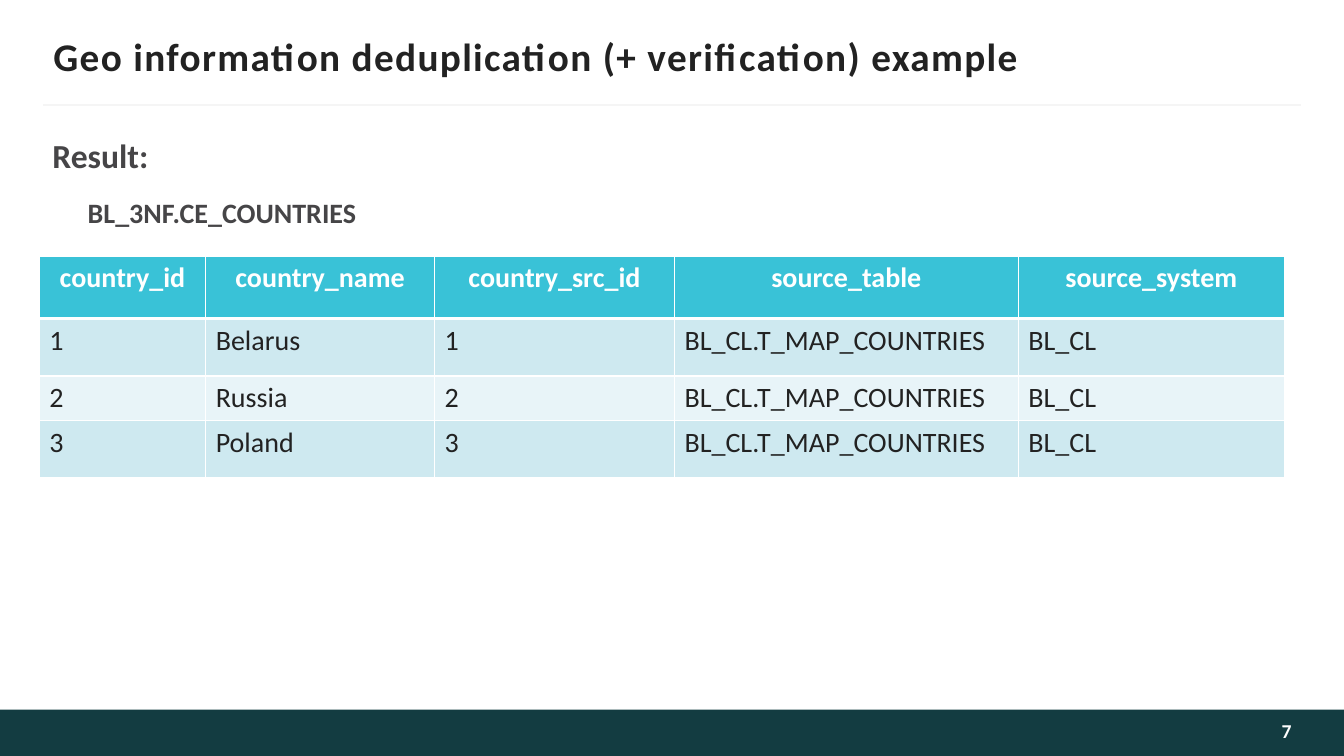
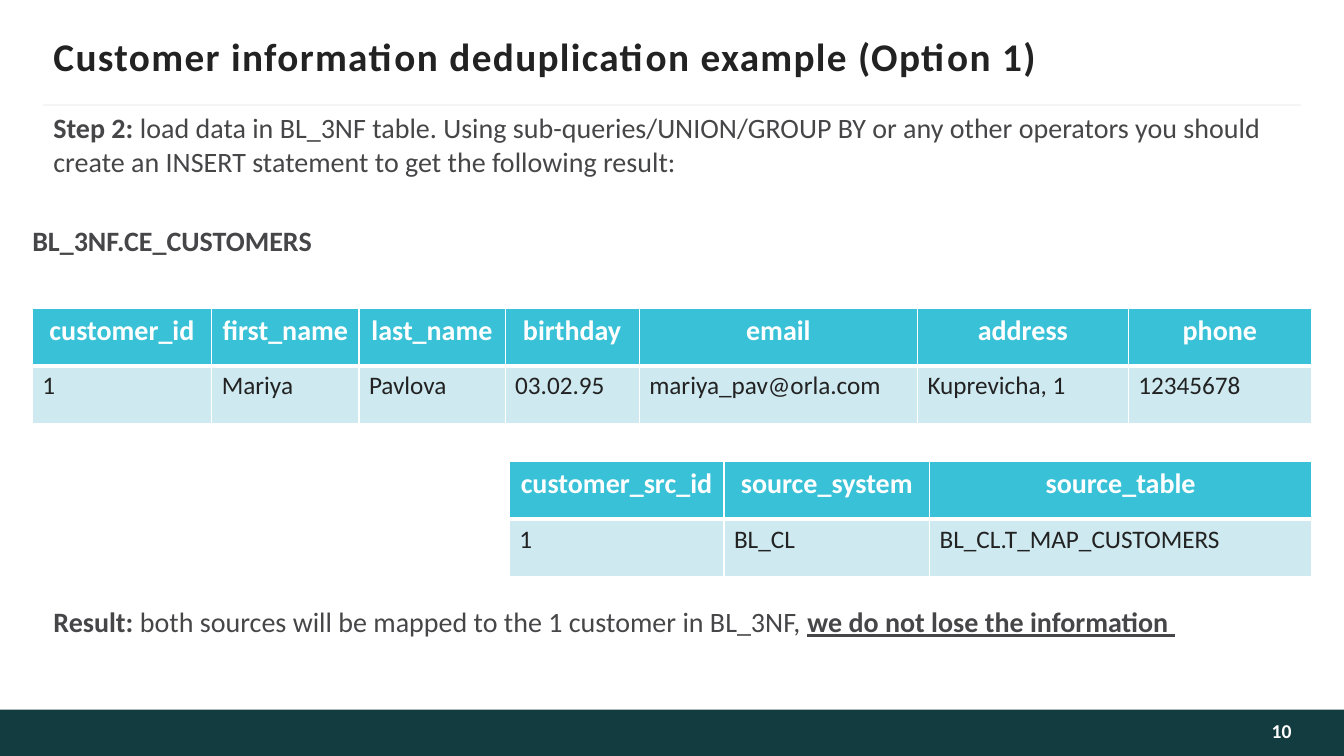
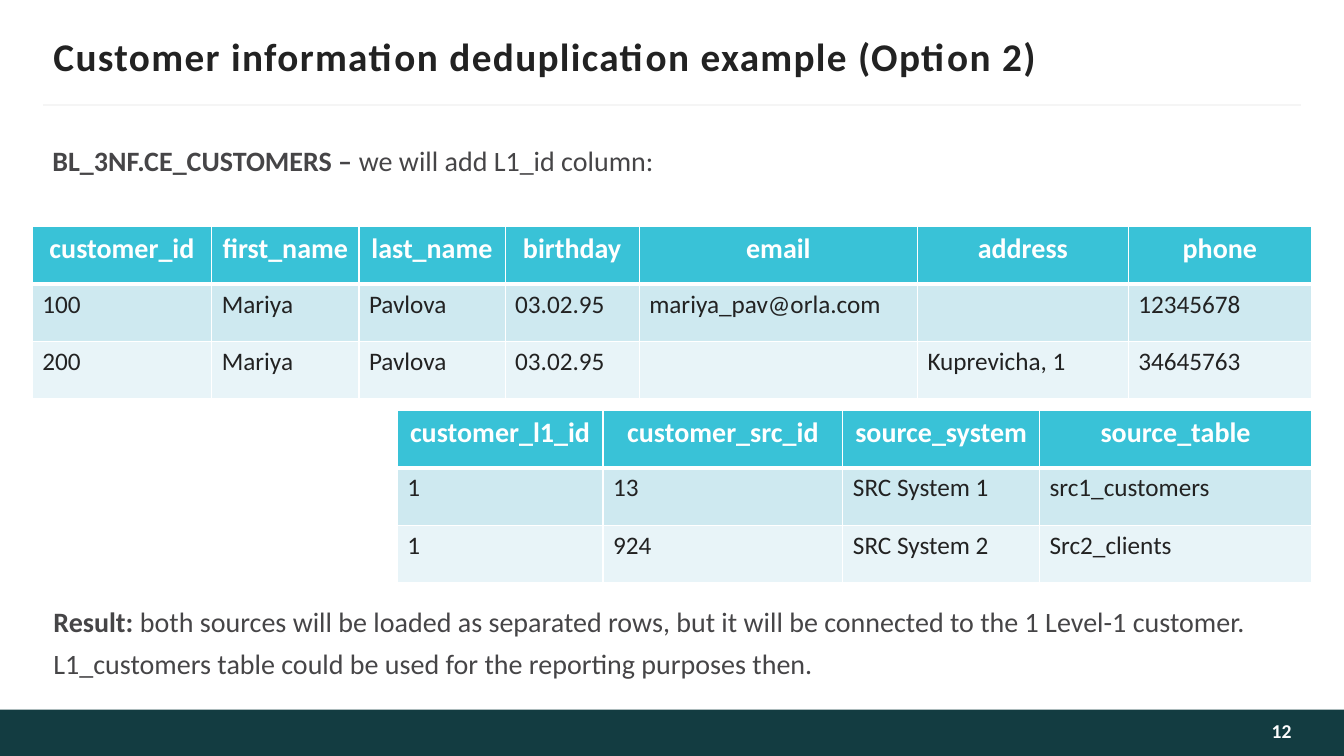
from lxml import etree
from pptx import Presentation
from pptx.dml.color import RGBColor
from pptx.enum.shapes import MSO_CONNECTOR, MSO_SHAPE
from pptx.enum.text import MSO_ANCHOR, PP_ALIGN
from pptx.oxml import parse_xml
from pptx.oxml.ns import nsdecls, qn
from pptx.util import Inches, Pt

FONT = "Calibri"
WHITE, BAND, RULE, PAGE = "FFFFFF", "133C41", "F5F5F5", "FEFEFE"
DARK, BODY = "222222", "464547"
HEADER_FILL = "39C2D7"
ROW_FILLS = ("CEE9F0", "E8F4F8")

SLIDE_WIDTH, SLIDE_HEIGHT, BAND_HEIGHT = 13.33, 7.5, 0.46
BAND_TOP = SLIDE_HEIGHT - BAND_HEIGHT
TABLE_LEFT, TABLE_RIGHT = 0.32, 13.01
ROW_HEIGHT = 0.57
RESULT_BOX = (0.53, 6, 12.1, 0.61)

CUSTOMER_WIDTHS = (1.78, 1.46, 1.45, 1.33, 2.76, 2.09, 1.82)
CUSTOMER_HEADER = ("customer_id", "first_name", "last_name", "birthday",
                   "email", "address", "phone")
EMAIL = "mariya_pav@orla.com"


def color(hex_value):
    return RGBColor.from_string(hex_value)


def add_run(paragraph, text, size, hex_value, bold=False, underline=False):
    run = paragraph.add_run()
    run.text = text
    font = run.font
    font.name, font.size, font.bold = FONT, Pt(size), bold
    font.color.rgb = color(hex_value)
    if underline:
        font.underline = True
    return run


def add_frame(slide, box, margins=(0, 0, 0, 0), anchor=MSO_ANCHOR.TOP):
    """Add a wrapping text box; margins run left, top, right, bottom."""
    frame = slide.shapes.add_textbox(*map(Inches, box)).text_frame
    frame.word_wrap = True
    frame.vertical_anchor = anchor
    (frame.margin_left, frame.margin_top,
     frame.margin_right, frame.margin_bottom) = map(Inches, margins)
    return frame


def add_body(slide, box, *paragraphs, size=20):
    """Add body text; each paragraph is a list of (text, bold[, underline])."""
    frame = add_frame(slide, box)
    for index, runs in enumerate(paragraphs):
        paragraph = frame.add_paragraph() if index else frame.paragraphs[0]
        paragraph.space_before = Pt(2.6 if index else 0)
        paragraph.space_after = Pt(3)
        for text, *style in runs:
            add_run(paragraph, text, size, BODY, *style)


def add_base_slide(presentation, title, number):
    """Add a slide with the title, rule, bottom band and page number."""
    slide = presentation.slides.add_slide(presentation.slide_layouts[6])
    band = slide.shapes.add_shape(
        MSO_SHAPE.RECTANGLE, 0, Inches(BAND_TOP),
        Inches(SLIDE_WIDTH), Inches(BAND_HEIGHT))
    band.shadow.inherit = False
    band.fill.solid()
    band.fill.fore_color.rgb = color(BAND)
    band.line.fill.background()

    rule = slide.shapes.add_connector(
        MSO_CONNECTOR.STRAIGHT, *map(Inches, (0.43, 1.04, 12.9, 1.04)))
    rule.line.color.rgb = color(RULE)
    rule.line.width = Pt(1.5)
    etree.SubElement(rule._element.spPr, qn("a:effectLst"))

    frame = add_frame(slide, (0.53, 0.33, 12.29, 0.44),
                      (0, 0.05, 0, 0.05), MSO_ANCHOR.MIDDLE)
    run = add_run(frame.paragraphs[0], title, 28, DARK, True)
    run._r.get_or_add_rPr().set("spc", "100")

    frame = add_frame(slide, (10.81, BAND_TOP, 2, BAND_HEIGHT),
                      (0.1, 0.05, 0, 0.09), MSO_ANCHOR.MIDDLE)
    frame.paragraphs[0].alignment = PP_ALIGN.RIGHT
    add_run(frame.paragraphs[0], str(number), 14, PAGE, True)
    return slide


def set_borders(cell, top, bottom):
    """Draw white cell borders; the sides are 1 pt wide."""
    properties = cell._tc.get_or_add_tcPr()
    for side, width in (("L", 1), ("R", 1), ("T", top), ("B", bottom)):
        properties.append(parse_xml(
            f'<a:ln{side} {nsdecls("a")} w="{Pt(width)}"><a:solidFill>'
            f'<a:srgbClr val="{WHITE}"/></a:solidFill></a:ln{side}>'))


def add_data_table(slide, left, top, widths, rows, size=18, heights=None):
    """Add a table whose first row is the header."""
    heights = heights or [ROW_HEIGHT] * len(rows)
    box = (left, top, sum(widths), sum(heights))
    table = slide.shapes.add_table(
        len(rows), len(widths), *map(Inches, box)).table
    for column, width in zip(table.columns, widths):
        column.width = Inches(width)
    for row, height in zip(table.rows, heights):
        row.height = Inches(height)
    for row_index, values in enumerate(rows):
        is_header = row_index == 0
        fill = HEADER_FILL if is_header else ROW_FILLS[(row_index - 1) % 2]
        for column_index, text in enumerate(values):
            cell = table.cell(row_index, column_index)
            set_borders(cell, 3 if row_index == 1 else 1, 3 if is_header else 1)
            cell.fill.solid()
            cell.fill.fore_color.rgb = color(fill)
            paragraph = cell.text_frame.paragraphs[0]
            if is_header:
                paragraph.alignment = PP_ALIGN.CENTER
                add_run(paragraph, text, 20, WHITE, True)
            elif text:
                add_run(paragraph, text, size, DARK)


def add_customer_tables(slide, top, customers, source_top, source_widths, sources):
    """Add the full-width customer table and the right-aligned source table."""
    add_data_table(slide, TABLE_LEFT, top, CUSTOMER_WIDTHS,
                   [CUSTOMER_HEADER, *customers])
    add_data_table(slide, TABLE_RIGHT - sum(source_widths), source_top,
                   source_widths, sources)


def build_countries(presentation):
    slide = add_base_slide(
        presentation, "Geo information deduplication (+ verification) example", 7)
    add_body(slide, (0.52, 1.34, 12.1, 0.46), [("Result:", True)], size=24)
    add_body(slide, (0.87, 1.94, 6.01, 0.46), [("BL_3NF.CE_COUNTRIES", True)])
    header = ("country_id", "country_name", "country_src_id",
              "source_table", "source_system")
    countries = [(str(number), name, str(number), "BL_CL.T_MAP_COUNTRIES", "BL_CL")
                 for number, name in enumerate(("Belarus", "Russia", "Poland"), 1)]
    add_data_table(slide, 0.39, 2.54, (1.65, 2.27, 2.38, 3.41, 2.64),
                   [header, *countries], size=20, heights=(0.62, 0.57, 0.44, 0.57))


def build_option_one(presentation):
    slide = add_base_slide(
        presentation, "Customer information deduplication example (Option 1)", 10)
    add_body(slide, (0.53, 1.1, 12.1, 0.8), [
        ("Step 2: ", True),
        ("load data in BL_3NF table. Using sub-queries/UNION/GROUP BY or any other "
         "operators you should create an INSERT statement to get the following "
         "result:", False)])
    add_body(slide, (TABLE_LEFT, 2.22, 6.01, 0.46), [("BL_3NF.CE_CUSTOMERS", True)])
    add_customer_tables(
        slide, 3.06,
        [("1", "Mariya", "Pavlova", "03.02.95", EMAIL, "Kuprevicha, 1", "12345678")],
        4.58, (2.13, 2.04, 3.79),
        [("customer_src_id", "source_system", "source_table"),
         ("1", "BL_CL", "BL_CL.T_MAP_CUSTOMERS")])
    add_body(slide, RESULT_BOX, [
        ("Result: ", True),
        ("both sources will be mapped to the 1 customer in BL_3NF, ", False),
        ("we do not lose the information ", True, True)])


def build_option_two(presentation):
    slide = add_base_slide(
        presentation, "Customer information deduplication example (Option 2)", 12)
    add_body(slide, (0.52, 1.42, 11.15, 0.46), [
        ("BL_3NF.CE_CUSTOMERS – ", True), ("we will add L1_id column:", False)])
    add_customer_tables(
        slide, 2.25,
        [("100", "Mariya", "Pavlova", "03.02.95", EMAIL, "", "12345678"),
         ("200", "Mariya", "Pavlova", "03.02.95", "", "Kuprevicha, 1", "34645763")],
        4.07, (2.04, 2.38, 1.95, 2.7),
        [("customer_l1_id", "customer_src_id", "source_system", "source_table"),
         ("1", "13", "SRC System 1", "src1_customers"),
         ("1", "924", "SRC System 2", "Src2_clients")])
    add_body(slide, RESULT_BOX, [
        ("Result: ", True),
        ("both sources will be loaded as separated rows, but it will be connected "
         "to the 1 Level-1 customer.", False)],
        [("L1_customers table could be used for the reporting purposes then.", False)])


def main():
    presentation = Presentation()
    presentation.slide_width = Inches(SLIDE_WIDTH)
    presentation.slide_height = Inches(SLIDE_HEIGHT)
    build_countries(presentation)
    build_option_one(presentation)
    build_option_two(presentation)
    presentation.save("out.pptx")


if __name__ == "__main__":
    main()
